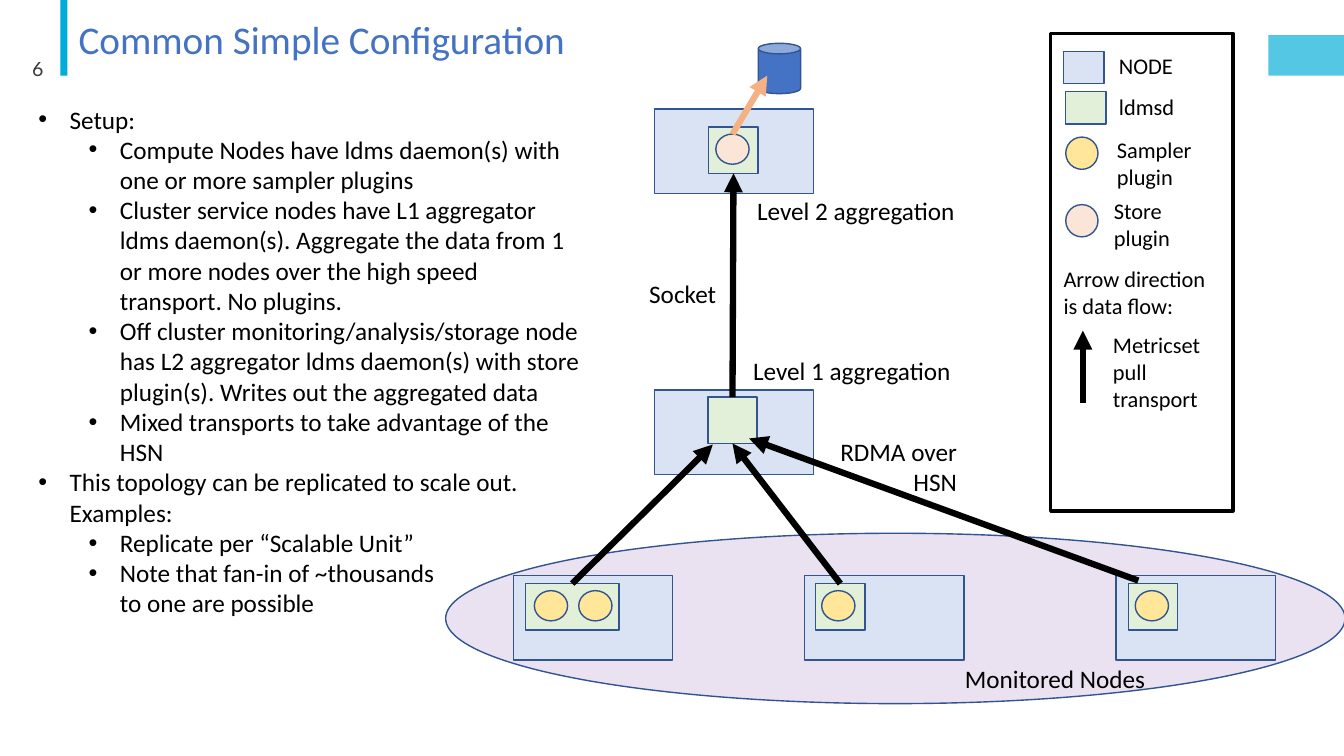
from dataclasses import dataclass

from lxml import etree
from pptx import Presentation
from pptx import util as u
from pptx.dml.color import RGBColor
from pptx.enum import shapes, text
from pptx.oxml import ns

RECT = shapes.MSO_SHAPE.RECTANGLE
OVAL = shapes.MSO_SHAPE.OVAL
CAN = shapes.MSO_SHAPE.CAN
LEFT, RIGHT = text.PP_ALIGN.LEFT, text.PP_ALIGN.RIGHT
TOP, BOTTOM = 0, 2


@dataclass(frozen=True)
class Theme:
    font: str = "Calibri"
    number_font: str = "Lato"
    ink: str = "000000"
    number_ink: str = "3B3838"
    blue: str = "4472C4"
    outline: str = "325491"
    cyan: str = "00ACD9"
    purple: str = "7030A0"
    node: str = "DAE3F3"
    daemon: str = "E2F0D9"
    sampler: str = "FFE699"
    store: str = "FBE5D6"
    storage_arrow: str = "F4B183"
    title_size: int = 28
    body_size: int = 18
    legend_size: int = 16
    number_size: int = 14
    thin: float = 1
    frame: float = 2.25
    thick: float = 4.5


class Diagram:
    """Draws styled elements on one slide, on a grid of 133.3 columns by 75 rows."""

    def __init__(self, deck, theme):
        self.theme = theme
        self.slide = deck.slides.add_slide(deck.slide_layouts[1])
        self.column = deck.slide_width / 133.3
        self.row = deck.slide_height / 75

    def place(self, column, row):
        return round(column * self.column), round(row * self.row)

    def span(self, para, words, size, color=None, font=None):
        span = para.add_run()
        span.text = words
        span.font.size = u.Pt(size)
        span.font.name = font or self.theme.font
        span.font.color.rgb = RGBColor.from_string(color or self.theme.ink)

    def move(self, box, left, top, width, height):
        box.left, box.top = self.place(left, top)
        box.width, box.height = self.place(width, height)
        frame = box.text_frame
        frame.auto_size = text.MSO_AUTO_SIZE.NONE
        frame.vertical_anchor = text.MSO_ANCHOR.TOP
        return frame

    def title(self, words, *area):
        frame = self.move(self.slide.shapes.title, *area)
        frame.word_wrap = False
        para = frame.paragraphs[0]
        para.alignment = LEFT
        self.span(para, words, self.theme.title_size, self.theme.blue)

    def bullets(self, items, *area):
        frame = self.move(self.slide.placeholders[1], *area)
        frame.word_wrap = True
        for index, (level, marked, words) in enumerate(items):
            para = frame.add_paragraph() if index else frame.paragraphs[0]
            para.level = level
            props = para._p.get_or_add_pPr()
            props.set("marL", str(u.Inches(0.31 + 0.5 * level)))
            props.set("indent", str(u.Inches(-0.31 if marked else 0)))
            if marked:
                etree.SubElement(props, ns.qn("a:buChar")).set("char", "•")
            else:
                etree.SubElement(props, ns.qn("a:buNone"))
            para.alignment = LEFT
            para.space_before = u.Pt(0)
            self.span(para, words, self.theme.body_size)

    def label(self, lines, left, top, width, height, size=None, align=LEFT,
              wrap=True, color=None, font=None, middle=False):
        box = self.slide.shapes.add_textbox(0, 0, 0, 0)
        frame = self.move(box, left, top, width, height)
        frame.word_wrap = wrap
        if middle:
            frame.vertical_anchor = text.MSO_ANCHOR.MIDDLE
        for index, words in enumerate(lines.split("\n")):
            para = frame.add_paragraph() if index else frame.paragraphs[0]
            para.alignment = align
            self.span(para, words, size or self.theme.body_size, color, font)

    def shape(self, kind, left, top, width, height, fill=None, alpha=None,
              line=None, weight=None):
        shape = self.slide.shapes.add_shape(
            kind, *self.place(left, top), *self.place(width, height))
        shape.shadow.inherit = False
        if fill:
            shape.fill.solid()
            shape.fill.fore_color.rgb = RGBColor.from_string(fill)
        else:
            shape.fill.background()
        if alpha:
            color = shape.element.spPr.find(".//" + ns.qn("a:srgbClr"))
            etree.SubElement(color, ns.qn("a:alpha")).set("val", str(alpha * 1000))
        if line:
            shape.line.color.rgb = RGBColor.from_string(line)
            shape.line.width = u.Pt(weight or self.theme.thin)
        else:
            shape.line.fill.background()
        return shape

    def outlined(self, kind, left, top, width, height, fill, alpha=None):
        return self.shape(kind, left, top, width, height, fill, alpha, self.theme.outline)

    def node(self, left, top, inset, drop, width=4.9, plugins=(), color=None):
        self.outlined(RECT, left, top, 15.8, 8.4, self.theme.node)
        left, top = left + inset, top + drop
        daemon = self.outlined(RECT, left, top, width, 4.6, self.theme.daemon)
        circles = [self.outlined(OVAL, left + offset, top + 0.7, 3.3, 3, color)
                   for offset in plugins]
        return daemon, circles

    def arrow(self, start, end, color=None, begin=None, finish=None):
        line = self.slide.shapes.add_connector(
            shapes.MSO_CONNECTOR.STRAIGHT, *self.place(*start), *self.place(*end))
        if begin:
            line.begin_connect(begin, TOP)
        if finish:
            line.end_connect(finish, BOTTOM)
        line.line.color.rgb = RGBColor.from_string(color or self.theme.ink)
        line.line.width = u.Pt(self.theme.thick)
        props = line._element.spPr
        etree.SubElement(props.find(ns.qn("a:ln")), ns.qn("a:tailEnd")).set("type", "triangle")
        etree.SubElement(props, ns.qn("a:effectLst"))


def draw_topology(diagram, theme):
    diagram.outlined(OVAL, 44.2, 52.9, 89.2, 16.9, theme.purple, 14)
    wide, _ = diagram.node(50.9, 57.1, 1.2, 0.8, 9.3, (0.9, 5.3), theme.sampler)
    middle, _ = diagram.node(79.8, 57.1, 1.1, 0.8, plugins=(0.6,), color=theme.sampler)
    diagram.node(110.7, 57.1, 1.2, 0.8, plugins=(0.7,), color=theme.sampler)
    first, _ = diagram.node(64.9, 38.7, 5.3, 0.7)
    second, stores = diagram.node(64.9, 10.8, 5.4, 1.8, plugins=(0.7,), color=theme.store)
    diagram.outlined(CAN, 75.2, 4.3, 4.2, 5, theme.blue)
    diagram.arrow((56.8, 57.9), (70.7, 44.1), begin=wide)
    diagram.arrow((83.7, 57.9), (72.6, 44.1), begin=middle, finish=first)
    diagram.arrow((112.9, 57.6), (74.3, 43.5))
    diagram.arrow((72.6, 39.4), (72.8, 17.3), begin=first, finish=second)
    diagram.arrow((72.6, 13.4), (76.1, 7.5), theme.storage_arrow, begin=stores[0])
    diagram.label("RDMA over HSN", 79.5, 42.8, 16.4, 7.1, align=RIGHT)
    diagram.label("Socket", 63.4, 27.1, 13.9, 4)
    diagram.label("Monitored Nodes", 94.7, 65.3, 20.1, 4, wrap=False)
    for level, left, top in ((2, 74.1, 18.9), (1, 73.7, 34.8)):
        diagram.label(f"Level {level} aggregation", left, top, 21.9, 4, wrap=False)


def draw_legend(diagram, theme):
    diagram.shape(RECT, 104.2, 3.3, 18.1, 47.4, line=theme.ink, weight=theme.frame)
    for kind, left, top, width, fill in (
            (RECT, 105.5, 5.1, 4, theme.node), (RECT, 105.7, 9.1, 4, theme.daemon),
            (OVAL, 105.7, 13.6, 3.2, theme.sampler), (OVAL, 105.7, 20.3, 3.2, theme.store)):
        diagram.outlined(kind, left, top, width, 3.2, fill)
    for words, left, top, width, height in (
            ("NODE", 110, 4.7, 9.6, 3.7), ("ldmsd", 110, 8.8, 9.6, 3.7),
            ("Sampler plugin", 109.8, 13, 13, 6.4), ("Store\nplugin", 109.5, 19.1, 13, 6.4),
            ("Arrow direction is data flow:", 104.5, 25.8, 16.4, 6.4),
            ("Metricset pull transport", 109.4, 32.4, 13.3, 9.1)):
        diagram.label(words, left, top, width, height, theme.legend_size)
    diagram.arrow((107.4, 40), (107.4, 32.8))


def main():
    deck = Presentation()
    deck.slide_width, deck.slide_height = u.Inches(13.33), u.Inches(7.5)
    theme = Theme()
    diagram = Diagram(deck, theme)
    diagram.shape(RECT, 6, 0, 0.7, 7.5, theme.cyan)
    diagram.shape(RECT, 125.8, 3.5, 7.5, 4, theme.cyan, 67)
    diagram.label("6", 0.7, 4.8, 4.6, 4, theme.number_size, RIGHT,
                  color=theme.number_ink, font=theme.number_font, middle=True)
    diagram.title("Common Simple Configuration", 6.8, 1, 50.8, 5.7)
    draw_topology(diagram, theme)
    draw_legend(diagram, theme)
    diagram.bullets((
        (0, True, "Setup:"),
        (1, True, "Compute Nodes have ldms daemon(s) with one or more sampler plugins"),
        (1, True, "Cluster service nodes have L1 aggregator ldms daemon(s). Aggregate the data "
                  "from 1 or more nodes over the high speed transport. No plugins."),
        (1, True, "Off cluster monitoring/analysis/storage node has L2 aggregator ldms daemon(s) "
                  "with store plugin(s). Writes out the aggregated data"),
        (1, True, "Mixed transports to take advantage of the HSN"),
        (0, True, "This topology can be replicated to scale out. Examples:"),
        (1, True, "Replicate per “Scalable Unit”"),
        (1, True, "Note that fan-in of ~thousands"),
        (1, False, "to one are possible"),
    ), 2.8, 9.8, 55.9, 52.5)
    deck.save("out.pptx")


if __name__ == "__main__":
    main()
